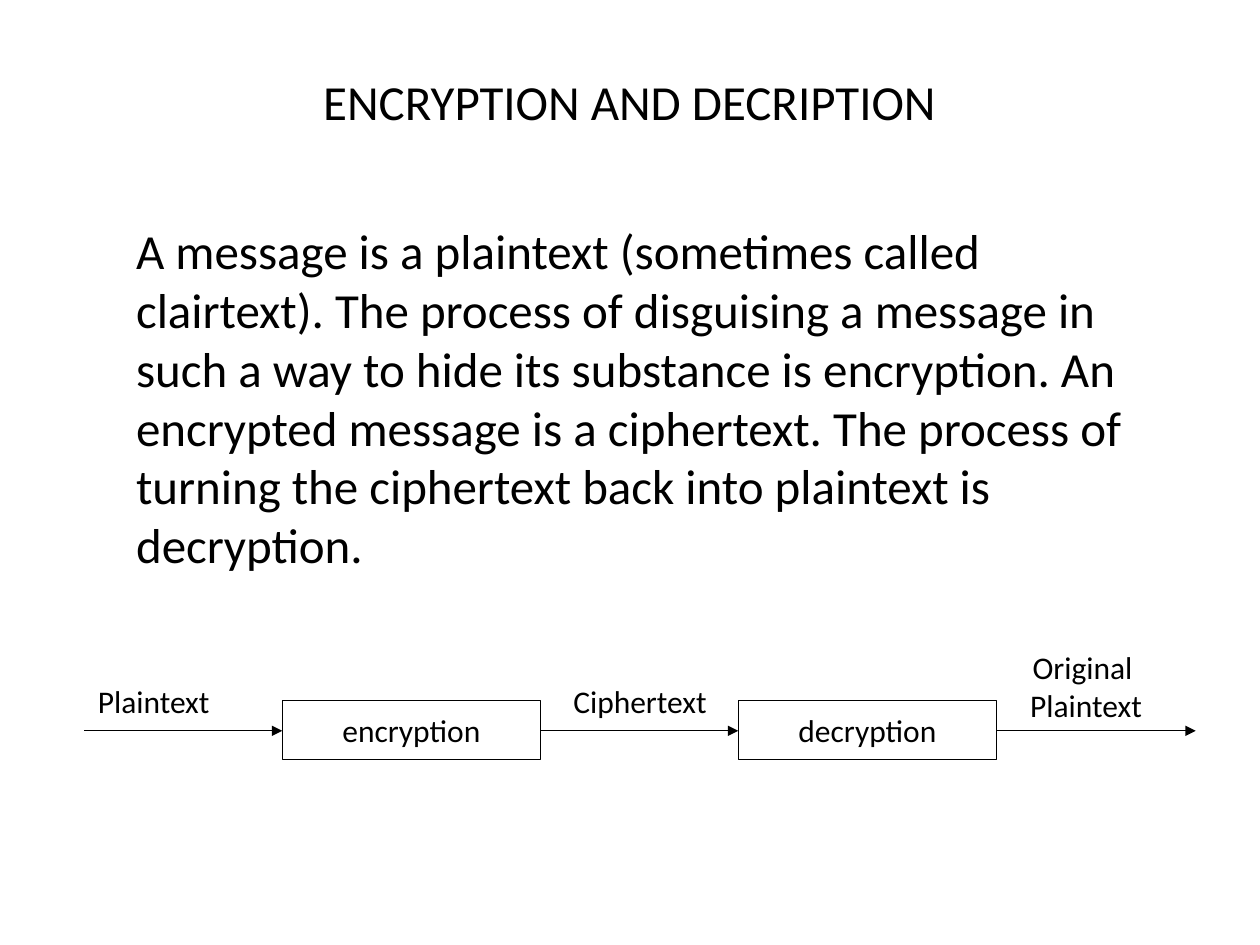
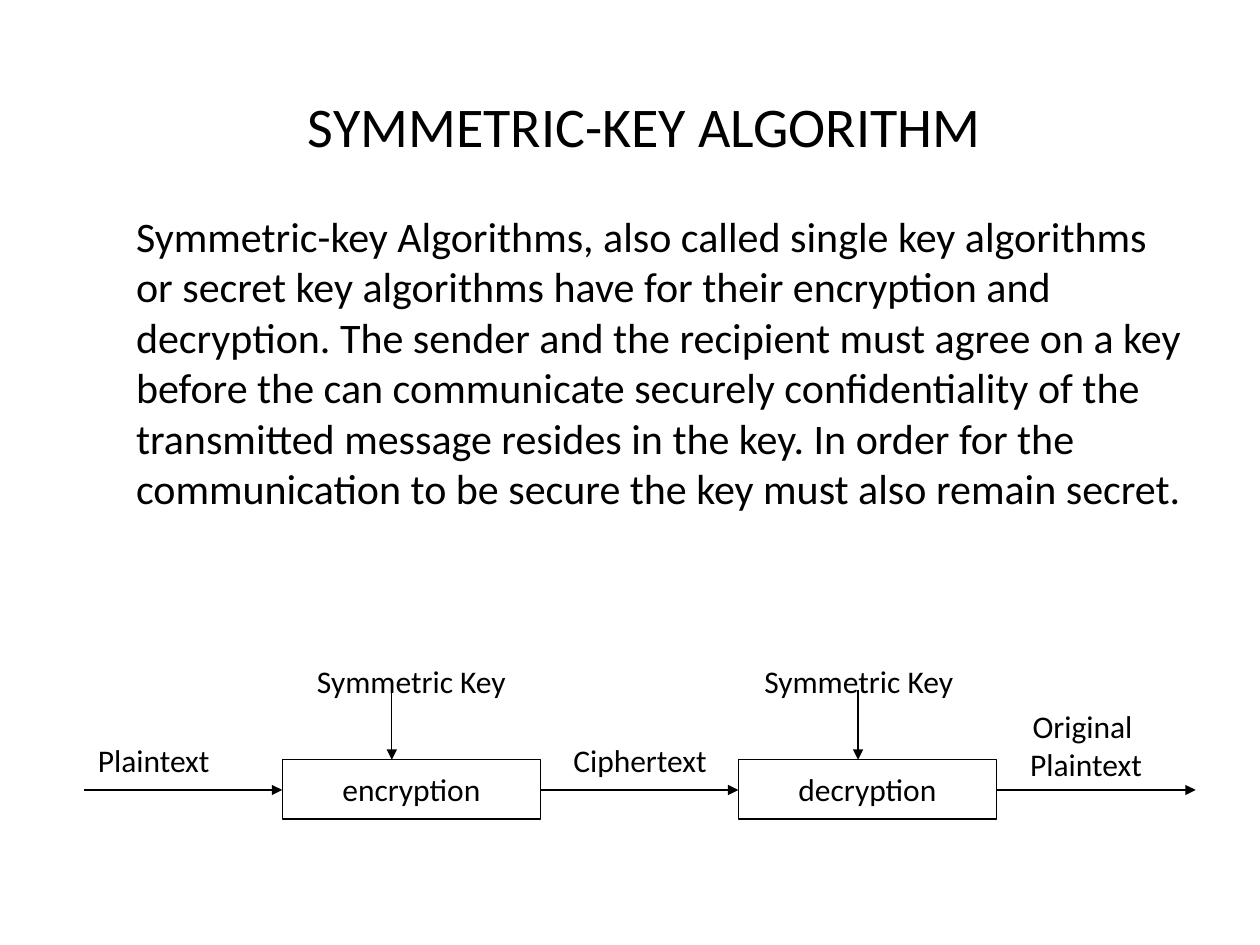
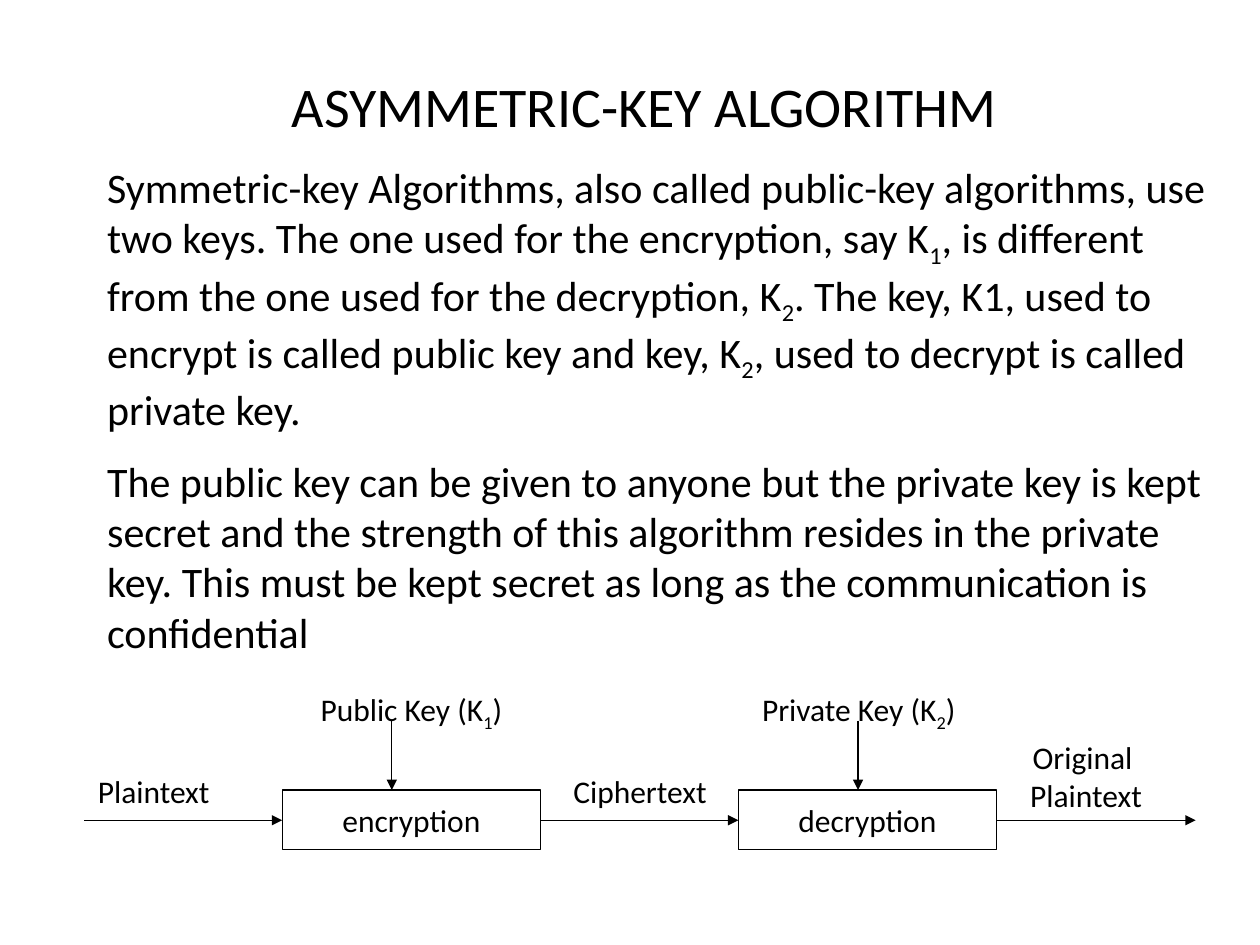
from pptx import Presentation
from pptx.dml.color import RGBColor
from pptx.enum.shapes import MSO_CONNECTOR as Link, MSO_SHAPE as Form
from pptx.enum.text import MSO_ANCHOR as Anchor, MSO_AUTO_SIZE as Fit, PP_ALIGN as Align
from pptx.oxml.ns import qn
from pptx.util import Inches, Pt
from lxml import etree

BLACK = RGBColor(0, 0, 0)
WHITE = RGBColor(255, 255, 255)
FONT = "Calibri"

# Wording and measures; text between tildes is subscript
PAGES = [
    dict(title="ENCRYPTION AND DECRIPTION", head=(0.98, 0.52, 8.03, 0.57), big=28,
         text=["A message is a plaintext (sometimes called clairtext). The process of "
               "disguising a message in such a way to hide its substance is encryption. "
               "An encrypted message is a ciphertext. The process of turning the "
               "ciphertext back into plaintext is decryption."],
         body=(0.98, 1.7, 8.19, 2.9), size=28, flow=5.8, keys=[]),
    dict(title="SYMMETRIC-KEY ALGORITHM", head=(0.9, 0.68, 8.43, 0.63), big=32,
         text=["Symmetric-key Algorithms, also called single key algorithms or secret key "
               "algorithms have for their encryption and decryption. The sender and the "
               "recipient must agree on a key before the can communicate securely "
               "confidentiality of the transmitted message resides in the key. In order "
               "for the communication to be secure the key must also remain secret."],
         body=(0.98, 1.62, 8.58, 2.9), size=24, flow=6.27,
         keys=["Symmetric Key", "Symmetric Key"]),
    dict(title="ASYMMETRIC-KEY ALGORITHM", head=(0.9, 0.52, 8.43, 0.63), big=32,
         text=["Symmetric-key Algorithms, also called public-key algorithms, use two keys. "
               "The one used for the encryption, say K~1~, is different from the one used "
               "for the decryption, K~2~. The key, K1, used to encrypt is called public key "
               "and key, K~2~, used to decrypt is called private key.",
               "The public key can be given to anyone but the private key is kept secret "
               "and the strength of this algorithm resides in the private key. This must be "
               "kept secret as long as the communication is confidential"],
         body=(0.75, 1.23, 8.94, 3.89), size=24, flow=6.51,
         keys=["Public Key (K~1~)", "Private Key (K~2~)"]),
]


def write(shape, lines, size, align, anchor, wrap=True, gap=0):
    frame = shape.text_frame
    frame.auto_size = Fit.NONE
    frame.word_wrap = wrap
    frame.vertical_anchor = anchor
    for i, line in enumerate(lines):
        para = frame.add_paragraph() if i else frame.paragraphs[0]
        props = para._p.get_or_add_pPr()
        props.set("marL", "0")
        props.set("indent", "0")
        etree.SubElement(props, qn("a:buNone"))
        para.alignment = align
        para.space_before = Pt(gap if i else 0)
        for j, part in enumerate(line.split("~")):
            run = para.add_run()
            run.text = part
            run.font.name = FONT
            run.font.size = Pt(size)
            run.font.color.rgb = BLACK
            if j % 2:
                run.font._element.set("baseline", "-25000")


def arrow(slide, x1, y1, x2, y2):
    line = slide.shapes.add_connector(Link.STRAIGHT, Inches(x1), Inches(y1), Inches(x2), Inches(y2))
    line.line.color.rgb = BLACK
    line.line.width = Pt(0.75)
    etree.SubElement(line.line._get_or_add_ln(), qn("a:tailEnd"), type="triangle")
    etree.SubElement(line._element.spPr, qn("a:effectLst"))


deck = Presentation()
deck.slide_width, deck.slide_height = Inches(10), Inches(7.5)

for page in PAGES:
    slide = deck.slides.add_slide(deck.slide_layouts[1])
    slide.background.fill.solid()
    slide.background.fill.fore_color.rgb = WHITE

    # Title and body
    title, body = slide.placeholders
    for shape, place in ((title, page["head"]), (body, page["body"])):
        shape.left, shape.top, shape.width, shape.height = map(Inches, place)
    write(title, [page["title"]], page["big"], Align.CENTER, Anchor.TOP)
    write(body, page["text"], page["size"], Align.LEFT, Anchor.TOP, gap=page["size"] / 2)

    # Boxes and labels, placed from the height of the flow line
    flow = page["flow"]
    boxes = [
        (["encryption"], 2.24, flow - 0.24, 2.05, 0.47, True),
        (["decryption"], 5.86, flow - 0.24, 2.05, 0.47, True),
        (["Plaintext"], 0.59, flow - 0.47, 1.26, 0.47, False),
        (["Ciphertext"], 4.45, flow - 0.47, 1.26, 0.47, False),
        (["Original ", "Plaintext"], 7.99, flow - 0.71, 1.26, 0.71, False),
    ]
    for key, x in zip(page["keys"], (2.24, 5.79)):
        boxes.append(([key], x, flow - 1.1, 2.05, 0.47, False))
    for lines, x, y, w, h, edge in boxes:
        box = slide.shapes.add_shape(Form.RECTANGLE, Inches(x), Inches(y), Inches(w), Inches(h))
        box.shadow.inherit = False
        box.fill.solid()
        box.fill.fore_color.rgb = WHITE
        if edge:
            box.line.color.rgb = BLACK
            box.line.width = Pt(0.75)
        else:
            box.line.fill.background()
        write(box, lines, 18, Align.CENTER, Anchor.MIDDLE, wrap=False)

    # Arrows along the flow, then down from each key
    for start, end in ((0.67, 2.24), (4.29, 5.86), (7.91, 9.49)):
        arrow(slide, start, flow, end, flow)
    for key, x in zip(page["keys"], (3.11, 6.81)):
        arrow(slide, x, flow - 0.79, x, flow - 0.24)

deck.save("out.pptx")
